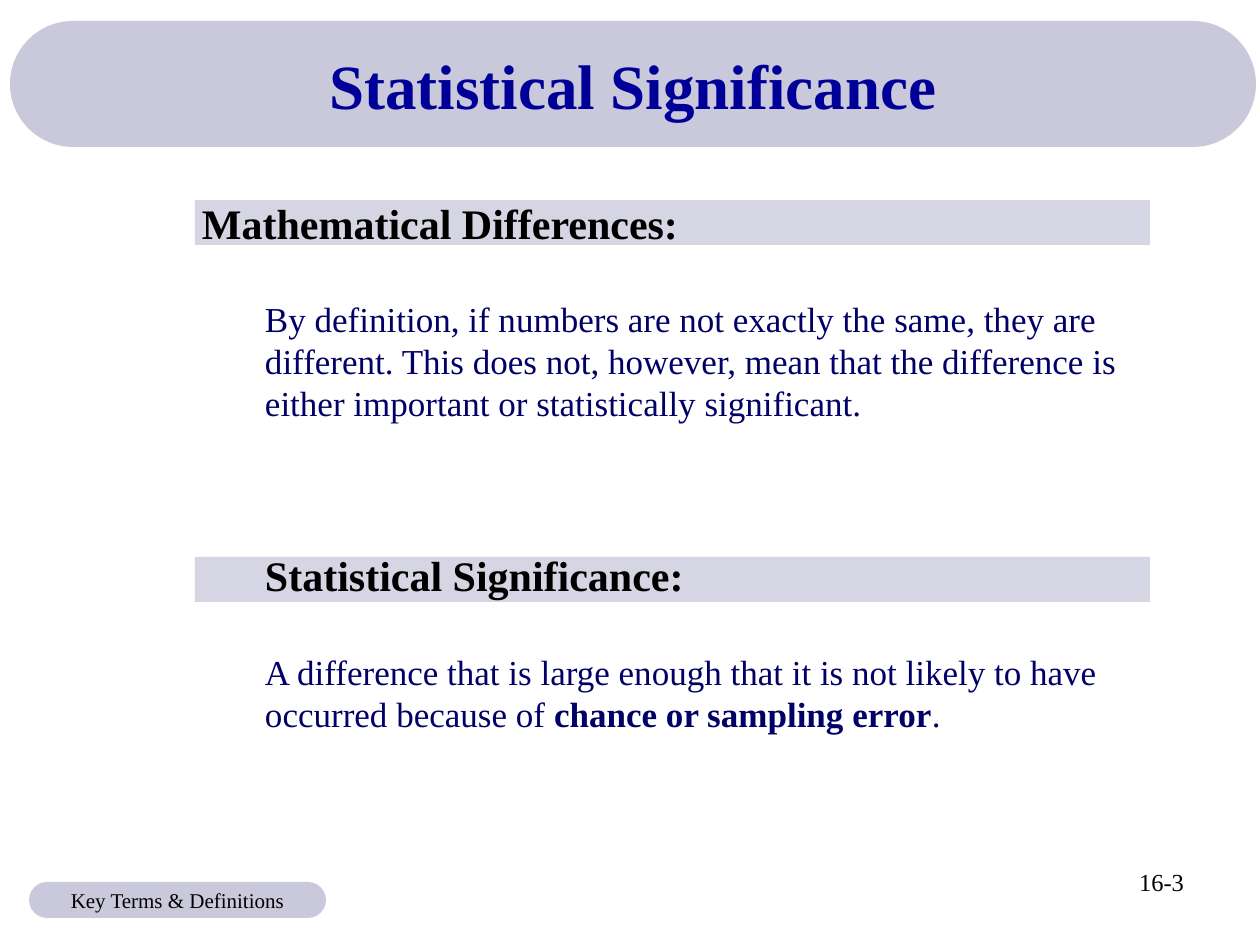
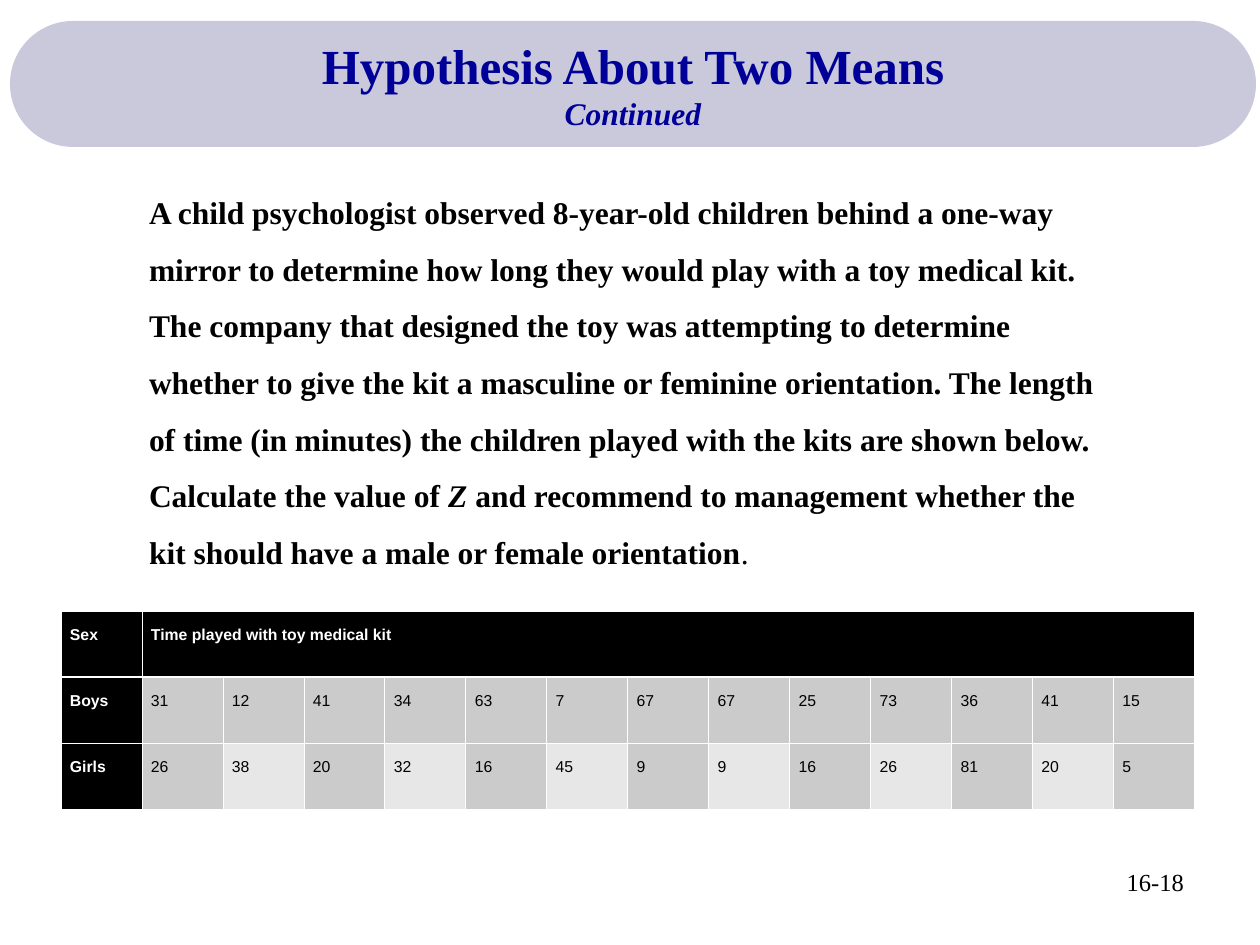
from lxml.etree import SubElement
from pptx import Presentation
from pptx.dml.color import RGBColor
from pptx.enum.shapes import MSO_SHAPE as Shape
from pptx.enum.text import MSO_ANCHOR as Anchor, MSO_AUTO_SIZE as AutoSize, PP_ALIGN as Align
from pptx.oxml.ns import qn
from pptx.util import Emu, Pt

# Shared look
SERIF, SANS = "Times New Roman", "Arial"
BLACK, WHITE, TITLE_BLUE, BODY_BLUE = "000000", "FFFFFF", "000099", "000066"
BAND, HEADING_BAR = "9595B9", "ACACC8"
DARK_CELL, LIGHT_CELL = "CBCBCB", "E7E7E7"
LINE_HEIGHT = 1.2
TITLE_BOX = (10, 21, 1246, 126)
NUMBER_BOX = (903, 861, 294, 66)

# Slide 1: paragraphs are (runs, size, colour, bold, indent px, space before pt)
TERMS_TITLE = [("Statistical Significance", 36, False)]
TERMS_NUMBER = "16-3"
TERMS_BOX = (189, 191, 966, 551)
INDENT = 63
TERMS = [
    (["Mathematical Differences:"], 24, BLACK, True, 0, 0),
    (["By definition, if numbers are not exactly the same, they are different. "
      "This does not, however, mean that the difference is either important or "
      "statistically significant."], 20, BODY_BLUE, False, INDENT, 28.8),
    (["Statistical Significance:"], 24, BLACK, True, INDENT, 72),
    (["A difference that is large enough that it is not likely to have occurred "
      "because of ", "chance or sampling error", "."], 20, BODY_BLUE, False, INDENT, 28.8),
]
HEADING_BARS = [(195, top, 955, 45) for top in (200, 557)]
FOOTER = "Key Terms & Definitions"
FOOTER_BOX = (29, 882, 297, 36)

# Slide 2
MEANS_TITLE = [("Hypothesis About Two Means", 28, False), ("Continued", 18, True)]
MEANS_NUMBER = "16-18"
PROBLEM_BOX = (136, 168, 987, 410)
PROBLEM = [
    "A child psychologist observed 8-year-old children behind a one-way mirror to "
    "determine how long they would play with a toy medical kit. The company that "
    "designed the toy was attempting to determine whether to give the kit a masculine "
    "or feminine orientation. The length of time (in minutes) the children played with "
    "the kits are shown below. Calculate the value of ",
    "Z ",
    "and recommend to management whether the kit should have a male or female orientation",
    ".",
]
TABLE_AT, CELL_WIDTH, ROW_HEIGHT = (61, 611), 81, 66
TABLE_HEAD = ["Sex", "Time played with toy medical kit"]
MINUTES = {
    "Boys": [31, 12, 41, 34, 63, 7, 67, 67, 25, 73, 36, 41, 15],
    "Girls": [26, 38, 20, 32, 16, 45, 9, 9, 16, 26, 81, 20, 5],
}


# Helpers
def px(length):
    return Emu(round(length * 914400 / 126))


def rgb(value):
    return RGBColor.from_string(value)


def style(span, size, colour, bold=False, italic=False, font=SERIF):
    span.font.name, span.font.size = font, Pt(size)
    span.font.bold, span.font.italic = bold, italic
    span.font.color.rgb = rgb(colour)


def place(shape, box):
    shape.left, shape.top, shape.width, shape.height = map(px, box)


def set_margins(frame, side=13, edge=6):
    frame.margin_left = frame.margin_right = px(side)
    frame.margin_top = frame.margin_bottom = px(edge)


def add_runs(para, texts):
    for text in texts:
        para.add_run().text = text
    return para.runs


def plain_list_item(para, indent, line_points, before=0):
    """Drop the bullet and set the indent and the line pitch."""
    properties = para._p.get_or_add_pPr()
    properties.set("marL", str(px(indent)))
    properties.set("indent", "0")
    SubElement(properties, qn("a:buNone"))
    para.alignment = Align.LEFT
    para.line_spacing = Pt(line_points)
    para.space_before, para.space_after = Pt(before), Pt(0)


def add_band(page, kind, box, colour):
    """Half-transparent band behind the text."""
    band = page.shapes.add_shape(kind, *map(px, box))
    band.shadow.inherit = False
    band.fill.solid()
    band.fill.fore_color.rgb = rgb(colour)
    fill_colour = band._element.spPr.find(qn("a:solidFill"))[0]
    SubElement(fill_colour, qn("a:alpha"), val="50000")
    band.line.fill.background()
    if kind == Shape.ROUNDED_RECTANGLE:
        band.adjustments[0] = 0.5
    page.shapes._spTree.insert(2, band._element)
    return band


def add_page(deck, title_lines, number, body_box):
    """Page with title band, title and number; returns the page and body frame."""
    page = deck.slides.add_slide(deck.slide_layouts[1])
    add_band(page, Shape.ROUNDED_RECTANGLE, TITLE_BOX, BAND)
    title, body = page.shapes.title, page.placeholders[1]
    place(title, TITLE_BOX)
    place(body, body_box)
    for holder, anchor in ((title, Anchor.MIDDLE), (body, Anchor.TOP)):
        frame = holder.text_frame
        frame.auto_size, frame.word_wrap = AutoSize.NONE, True
        frame.vertical_anchor = anchor
        set_margins(frame)
    title.text_frame.text = "\n".join(text for text, _, _ in title_lines)
    for para, (_, size, italic) in zip(title.text_frame.paragraphs, title_lines):
        para.alignment = Align.CENTER
        para.line_spacing = Pt(size * LINE_HEIGHT)
        style(para.runs[0], size, TITLE_BLUE, True, italic)

    box = page.shapes.add_textbox(*map(px, NUMBER_BOX))
    box.text_frame.word_wrap = True
    set_margins(box.text_frame)
    para = box.text_frame.paragraphs[0]
    para.text, para.alignment = number, Align.RIGHT
    style(para.runs[0], 14, BLACK)
    return page, body.text_frame


def set_borders(cell, bottom, top):
    properties = cell._tc.get_or_add_tcPr()
    for place_at, (side, points) in enumerate(
            (("lnL", 0.45), ("lnR", 0.45), ("lnT", top), ("lnB", bottom))):
        line = SubElement(properties, qn("a:" + side), w=str(Pt(points)))
        fill = SubElement(line, qn("a:solidFill"))
        SubElement(fill, qn("a:srgbClr"), val=WHITE)
        properties.insert(place_at, line)


# Slides
def build_terms(deck):
    page, frame = add_page(deck, TERMS_TITLE, TERMS_NUMBER, TERMS_BOX)
    for bar in HEADING_BARS:
        add_band(page, Shape.RECTANGLE, bar, HEADING_BAR)
    for index, (texts, size, colour, bold, indent, before) in enumerate(TERMS):
        para = frame.add_paragraph() if index else frame.paragraphs[0]
        plain_list_item(para, indent, size * LINE_HEIGHT, before)
        for position, span in enumerate(add_runs(para, texts)):
            style(span, size, colour, bold or position == 1)

    pill = add_band(page, Shape.ROUNDED_RECTANGLE, FOOTER_BOX, BAND)
    pill.text_frame.word_wrap = False
    pill.text_frame.vertical_anchor = Anchor.MIDDLE
    set_margins(pill.text_frame, side=63)
    para = pill.text_frame.paragraphs[0]
    para.text, para.alignment = FOOTER, Align.CENTER
    style(para.runs[0], 12, BLACK)


def build_means(deck):
    page, frame = add_page(deck, MEANS_TITLE, MEANS_NUMBER, PROBLEM_BOX)
    para = frame.paragraphs[0]
    plain_list_item(para, 0, 18 * LINE_HEIGHT * 1.5)
    for text, span in zip(PROBLEM, add_runs(para, PROBLEM)):
        style(span, 18, BLACK, bold=text != ".", italic=text == "Z ")

    rows = [TABLE_HEAD] + [[sex, *times] for sex, times in MINUTES.items()]
    columns = len(rows[-1])
    table = page.shapes.add_table(
        len(rows), columns, *map(px, TABLE_AT),
        px(CELL_WIDTH * columns), px(ROW_HEIGHT * len(rows))).table
    for column in table.columns:
        column.width = px(CELL_WIDTH)
    for r, values in enumerate(rows):
        table.rows[r].height = px(ROW_HEIGHT)
        for c in range(columns):
            cell = table.cell(r, c)
            label = r == 0 or c == 0
            light = r == 2 and c % 2 == 0
            cell.fill.solid()
            cell.fill.fore_color.rgb = rgb(
                BLACK if label else LIGHT_CELL if light else DARK_CELL)
            set_borders(cell, bottom=1.47 if r == 0 else 0.45, top=1.47 if r == 1 else 0.45)
            set_margins(cell, side=9)
            if c < len(values):
                para = cell.text_frame.paragraphs[0]
                para.text, para.line_spacing = str(values[c]), 1.5
                style(para.runs[0], 9, WHITE if label else BLACK, label, font=SANS)
    table.cell(0, 1).merge(table.cell(0, columns - 1))


def main():
    deck = Presentation()
    deck.slide_width, deck.slide_height = px(1260), px(945)
    build_terms(deck)
    build_means(deck)
    deck.save("out.pptx")


if __name__ == "__main__":
    main()
